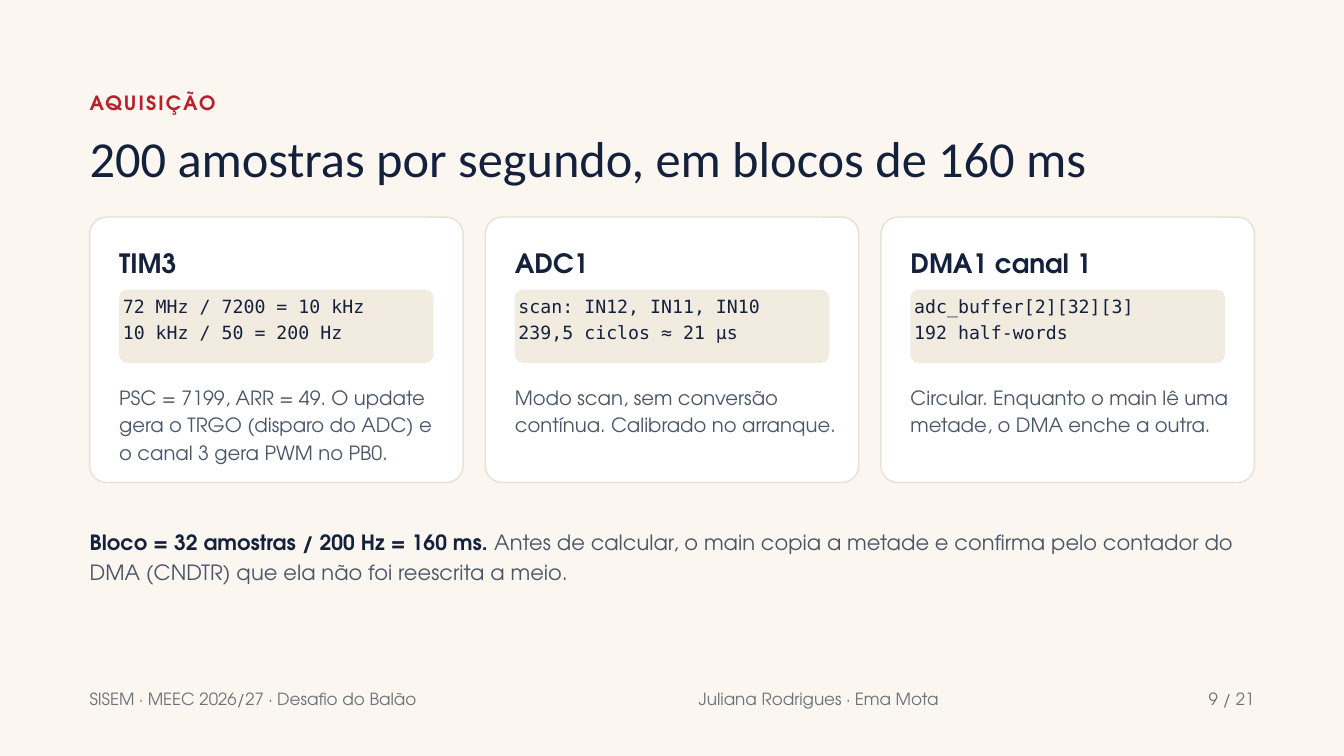
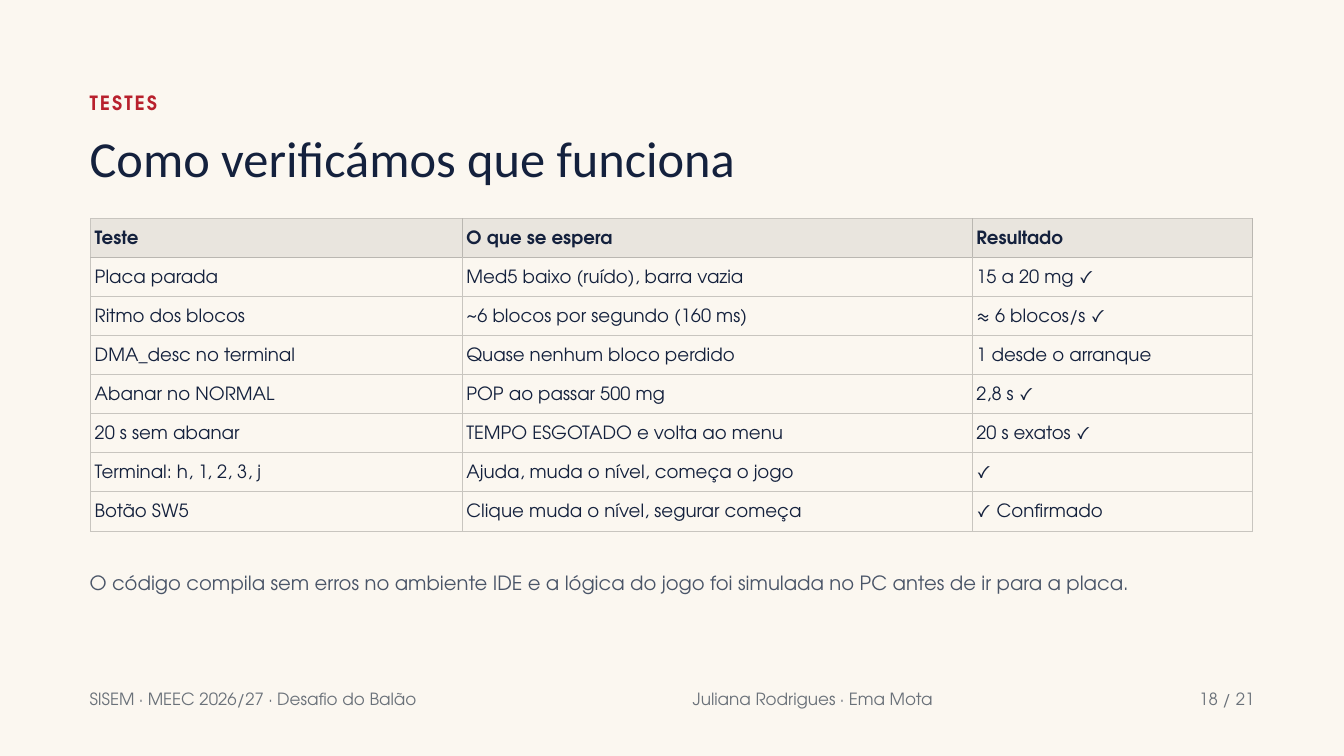
from lxml.etree import SubElement
from pptx import Presentation
from pptx.dml.color import RGBColor
from pptx.enum.shapes import MSO_SHAPE as Shape
from pptx.enum.text import MSO_ANCHOR as Anchor, MSO_AUTO_SIZE as AutoSize, PP_ALIGN as Align
from pptx.oxml.ns import qn
from pptx.util import Inches, Pt

SANS, MONO, TITLE_FONT = "TeX Gyre Adventor", "DejaVu Sans Mono", "Calibri"
PAPER, WHITE, CODE_FILL, CARD_LINE = "FBF7F0", "FFFFFF", "F1EBE0", "E7E0D4"
NAVY, RED, SLATE, GREY = "14213D", "B8202D", "4A5568", "6A7179"
HEADER_FILL, HEADER_RULE, RULE = "E9E5DE", "BAB7B1", "C8C5BF"

WIDTH, HEIGHT = 20, 11.25
MARGIN = WIDTH / 15
CONTENT = WIDTH - 2 * MARGIN
TEXT_WIDTH = 17.85
GAP = 0.33
CARD_WIDTH = (CONTENT - 2 * GAP) / 3
CARD_TOP, CARD_HEIGHT, CARD_PAD = 3.23, 3.95, 0.44
CELL_PAD = 0.06
FOOTER_TOP = 10.2
TOTAL_PAGES = 21

CARDS = [
    ("TIM3", ["72 MHz / 7200 = 10 kHz", "10 kHz / 50 = 200 Hz"],
     "PSC = 7199, ARR = 49. O update gera o TRGO (disparo do ADC) e o canal 3 gera PWM no PB0."),
    ("ADC1", ["scan: IN12, IN11, IN10", "239,5 ciclos ≈ 21 µs"],
     "Modo scan, sem conversão contínua. Calibrado no arranque."),
    ("DMA1 canal 1", ["adc_buffer[2][32][3]", "192 half-words"],
     "Circular. Enquanto o main lê uma metade, o DMA enche a outra."),
]
TESTS = [
    ("Teste", "O que se espera", "Resultado"),
    ("Placa parada", "Med5 baixo (ruído), barra vazia", "15 a 20 mg ✓"),
    ("Ritmo dos blocos", "~6 blocos por segundo (160 ms)", "≈ 6 blocos/s ✓"),
    ("DMA_desc no terminal", "Quase nenhum bloco perdido", "1 desde o arranque"),
    ("Abanar no NORMAL", "POP ao passar 500 mg", "2,8 s ✓"),
    ("20 s sem abanar", "TEMPO ESGOTADO e volta ao menu", "20 s exatos ✓"),
    ("Terminal: h, 1, 2, 3, j", "Ajuda, muda o nível, começa o jogo", "✓"),
    ("Botão SW5", "Clique muda o nível, segurar começa", "✓ Confirmado"),
]
TEST_COLUMNS = (5.53, 7.59, 4.16)


def rgb(color):
    return RGBColor.from_string(color)


def box(left, top, width, height):
    return [Inches(length) for length in (left, top, width, height)]


def style(paragraph, size, color, leading, font=SANS, bold=False, align=Align.LEFT):
    paragraph.alignment = align
    paragraph.line_spacing = Pt(leading)
    paragraph.font.name = font
    paragraph.font.size = Pt(size)
    paragraph.font.bold = bold
    paragraph.font.color.rgb = rgb(color)


def set_insets(frame, left=0, top=0, right=0, bottom=0):
    frame.margin_left, frame.margin_top = Inches(left), Inches(top)
    frame.margin_right, frame.margin_bottom = Inches(right), Inches(bottom)
    frame.vertical_anchor = Anchor.TOP
    frame.word_wrap = True


def add_text(slide, text, place, size, color, leading, **look):
    frame = slide.shapes.add_textbox(*box(*place)).text_frame
    set_insets(frame)
    paragraph = frame.paragraphs[0]
    paragraph.text = text
    style(paragraph, size, color, leading, **look)
    return paragraph


def add_panel(slide, place, radius, fill, line=None):
    panel = slide.shapes.add_shape(Shape.ROUNDED_RECTANGLE, *box(*place))
    panel.adjustments[0] = radius / place[3]
    panel.shadow.inherit = False
    panel.fill.solid()
    panel.fill.fore_color.rgb = rgb(fill)
    if line:
        panel.line.color.rgb = rgb(line)
        panel.line.width = Pt(1.5)
    else:
        panel.line.fill.background()
    return panel


def add_footer(slide, page, page_width):
    page_left = WIDTH - MARGIN - page_width
    authors_width = 3.93
    authors_left = (6.84 + page_left - authors_width) / 2
    for text, left, width, align in (
        ("SISEM · MEEC 2026/27 · Desafio do Balão", MARGIN, 5.66, Align.LEFT),
        ("Juliana Rodrigues · Ema Mota", authors_left, authors_width, Align.LEFT),
        (f"{page} / {TOTAL_PAGES}", page_left, page_width, Align.RIGHT),
    ):
        add_text(slide, text, (left, FOOTER_TOP, width, 0.42), 18, GREY, 25.2, align=align)


def add_page(prs, section, heading, page, page_width):
    """Add a slide with its section label, title and footer."""
    slide = prs.slides.add_slide(prs.slide_layouts[5])
    label = add_text(slide, section, (MARGIN, 1.29, TEXT_WIDTH, 0.49), 21, RED, 29.4, bold=True)
    label.runs[0].font._element.set("spc", "220")
    title = slide.shapes.title
    title.left, title.top, title.width, title.height = box(MARGIN, 1.96, TEXT_WIDTH, 0.81)
    title.text = heading
    set_insets(title.text_frame)
    title.text_frame.auto_size = AutoSize.NONE
    style(title.text_frame.paragraphs[0], 54, NAVY, 59.4, font=TITLE_FONT)
    add_footer(slide, page, page_width)
    return slide


def add_card(slide, column, name, code_lines, description):
    left = MARGIN + column * (CARD_WIDTH + GAP)
    inner = left + CARD_PAD
    add_panel(slide, (left, CARD_TOP, CARD_WIDTH, CARD_HEIGHT), 0.25, WHITE, CARD_LINE)
    add_text(slide, name, (inner, CARD_TOP + CARD_PAD, 4.82, 0.52), 28.5, NAVY, 34.2, bold=True)
    code_place = (inner, 4.31, CARD_WIDTH - 2 * CARD_PAD, 1.09)
    code = add_panel(slide, code_place, 0.12, CODE_FILL).text_frame
    # The corner radius already insets the text by about 0.04
    set_insets(code, left=0.02, right=0.02)
    code.text = "\n".join(code_lines)
    for line in code.paragraphs:
        style(line, 19.5, NAVY, 27.3, font=MONO)
    add_text(slide, description, (inner, 5.68, 4.82, 1.3), 21, SLATE, 29.4)


def add_border(cell, side, color):
    edge = SubElement(cell._tc.get_or_add_tcPr(), qn(f"a:{side}"), w=str(Pt(1)))
    SubElement(SubElement(edge, qn("a:solidFill")), qn("a:srgbClr"), val=color)


def format_cell(cell, row, column):
    header = row == 0
    inner_rule = HEADER_RULE if header else RULE
    add_border(cell, "lnL", inner_rule if column else RULE)
    add_border(cell, "lnR", inner_rule)
    add_border(cell, "lnT", HEADER_RULE if row == 1 else RULE)
    add_border(cell, "lnB", inner_rule)
    if header:
        cell.fill.solid()
        cell.fill.fore_color.rgb = rgb(HEADER_FILL)
    else:
        cell.fill.background()
    cell.margin_left = cell.margin_right = Inches(CELL_PAD)
    cell.margin_top = cell.margin_bottom = Inches(CELL_PAD)
    style(cell.text_frame.paragraphs[0], 19.5, NAVY, 27.3, bold=header)


def add_tests(slide):
    place = box(1.35, 3.25, sum(TEST_COLUMNS), 4.68)
    table = slide.shapes.add_table(len(TESTS), len(TEST_COLUMNS), *place).table
    table.horz_banding = False
    for column, width in enumerate(TEST_COLUMNS):
        table.columns[column].width = Inches(width)
    for row, values in enumerate(TESTS):
        table.rows[row].height = Inches(0.6 if row == len(TESTS) - 1 else 0.58)
        for column, value in enumerate(values):
            cell = table.cell(row, column)
            cell.text = value
            format_cell(cell, row, column)


def build_acquisition(prs):
    slide = add_page(prs, "AQUISIÇÃO", "200 amostras por segundo, em blocos de 160 ms", 9, 0.78)
    for column, card in enumerate(CARDS):
        add_card(slide, column, *card)
    summary = add_text(slide, "Bloco = 32 amostras / 200 Hz = 160 ms.",
                       (MARGIN, 7.82, TEXT_WIDTH, 0.97), 22.5, SLATE, 31.5)
    summary.runs[0].font.bold = True
    summary.runs[0].font.color.rgb = rgb(NAVY)
    summary.add_run().text = (" Antes de calcular, o main copia a metade e confirma pelo contador "
                              "do DMA (CNDTR) que ela não foi reescrita a meio.")


def build_tests(prs):
    slide = add_page(prs, "TESTES", "Como verificámos que funciona", 18, 0.96)
    add_tests(slide)
    add_text(slide, "O código compila sem erros no ambiente IDE e a lógica do jogo foi simulada "
             "no PC antes de ir para a placa.", (MARGIN, 8.43, TEXT_WIDTH, 0.49), 21, SLATE, 29.4)


def main():
    prs = Presentation()
    prs.slide_width, prs.slide_height = Inches(WIDTH), Inches(HEIGHT)
    paper = prs.slide_master.background.fill
    paper.solid()
    paper.fore_color.rgb = rgb(PAPER)
    build_acquisition(prs)
    build_tests(prs)
    prs.save("out.pptx")


if __name__ == "__main__":
    main()
